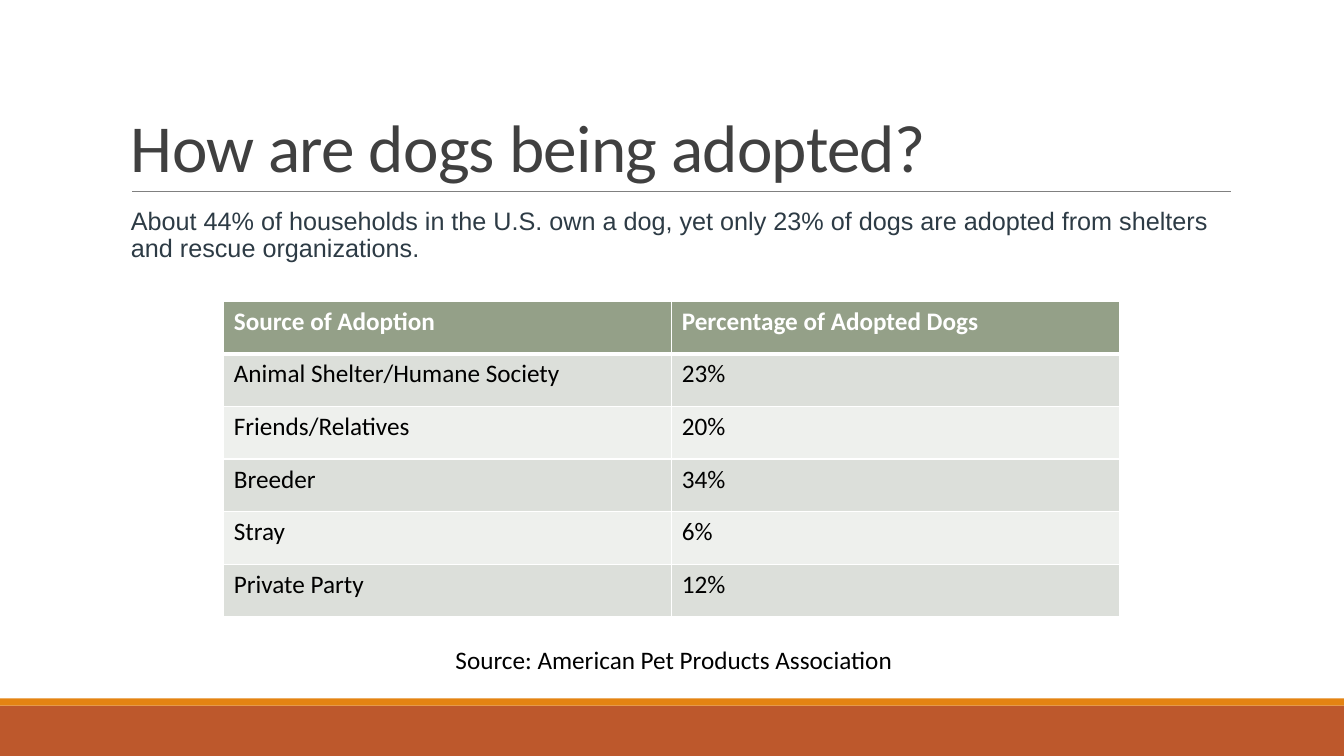
from lxml.etree import SubElement
from pptx import Presentation
from pptx.dml.color import RGBColor
from pptx.enum.shapes import MSO_CONNECTOR, MSO_SHAPE
from pptx.enum.text import MSO_ANCHOR
from pptx.oxml.ns import qn
from pptx.util import Cm, Pt

SLIDE_WIDTH, SLIDE_HEIGHT = 33.87, 19.05
HEADER_FILL = "94A088"
BAND_FILLS = ("DCDFDA", "EEF0ED")
ADOPTION_ROWS = [
    ("Source of Adoption", "Percentage of Adopted Dogs"),
    ("Animal Shelter/Humane Society", "23%"),
    ("Friends/Relatives", "20%"),
    ("Breeder", "34%"),
    ("Stray", "6%"),
    ("Private Party", "12%"),
]


def color(hex_string):
    return RGBColor.from_string(hex_string)


def style_font(paragraph, size, hex_string, name="Calibri", bold=False):
    font = paragraph.font
    font.name, font.size, font.bold = name, Pt(size), bold
    font.color.rgb = color(hex_string)


def add_text(slide, box, text, size, hex_string, name="Calibri"):
    """Add a wrapping text box and return its frame and paragraph."""
    frame = slide.shapes.add_textbox(*map(Cm, box)).text_frame
    frame.word_wrap = True
    paragraph = frame.paragraphs[0]
    paragraph.text = text
    style_font(paragraph, size, hex_string, name)
    return frame, paragraph


def add_footer_bands(slide, left, top, width, height):
    accent_height = 0.18
    bands = [
        (top + accent_height, height - accent_height, "BD582C"),
        (top, accent_height, "E48312"),
    ]
    for band_top, band_height, fill in bands:
        band = slide.shapes.add_shape(
            MSO_SHAPE.RECTANGLE, Cm(left), Cm(band_top), Cm(width), Cm(band_height))
        band.shadow.inherit = False
        band.fill.solid()
        band.fill.fore_color.rgb = color(fill)
        band.line.fill.background()


def add_title(slide, left, top, width, height):
    """Add the title and the thin rule along the foot of its box."""
    frame, paragraph = add_text(
        slide, (left, top, width, height), "How are dogs being adopted?", 48, "404040")
    frame.vertical_anchor = MSO_ANCHOR.BOTTOM
    paragraph.line_spacing = 0.85
    paragraph.runs[0]._r.get_or_add_rPr().set("spc", "-50")

    bottom = Cm(top + height)
    rule = slide.shapes.add_connector(
        MSO_CONNECTOR.STRAIGHT, Cm(left + 0.28), bottom, Cm(left + width + 0.02), bottom)
    rule.line.color.rgb = color("808080")
    rule.line.width = Pt(0.5)
    SubElement(rule._element.spPr, qn("a:effectLst"))


def add_summary(slide, left, top, width, height):
    frame, paragraph = add_text(
        slide, (left, top, width, height),
        "About 44% of households in the U.S. own a dog, yet only 23% of dogs "
        "are adopted from shelters and rescue organizations.",
        18, "2D3B45", "Arial")
    frame.margin_left = Cm(0.25)
    frame.margin_right = 0
    paragraph.line_spacing = 0.9


def set_borders(cell, top_width, bottom_width):
    """Give a cell white borders, with 1 pt sides."""
    properties = cell._tc.get_or_add_tcPr()
    widths = {"a:lnL": 1, "a:lnR": 1, "a:lnT": top_width, "a:lnB": bottom_width}
    for tag, width in widths.items():
        line = SubElement(properties, qn(tag), w=str(Pt(width)))
        SubElement(SubElement(line, qn("a:solidFill")), qn("a:srgbClr"), val="FFFFFF")


def add_adoption_table(slide, left, top, width, height):
    table = slide.shapes.add_table(
        len(ADOPTION_ROWS), len(ADOPTION_ROWS[0]),
        Cm(left), Cm(top), Cm(width), Cm(height)).table
    table.first_row = table.horz_banding = False
    for row_index, values in enumerate(ADOPTION_ROWS):
        header = row_index == 0
        fill = HEADER_FILL if header else BAND_FILLS[(row_index - 1) % 2]
        for column_index, value in enumerate(values):
            cell = table.cell(row_index, column_index)
            set_borders(cell, 3 if row_index == 1 else 1, 3 if header else 1)
            cell.fill.solid()
            cell.fill.fore_color.rgb = color(fill)
            cell.text = value
            style_font(cell.text_frame.paragraphs[0], 18,
                       "FFFFFF" if header else "000000", bold=header)


def add_source_note(slide, left, top, width, height):
    add_text(slide, (left, top, width, height),
             "Source: American Pet Products Association", 18, "000000")


def main():
    presentation = Presentation()
    presentation.slide_width = Cm(SLIDE_WIDTH)
    presentation.slide_height = Cm(SLIDE_HEIGHT)
    slide = presentation.slides.add_slide(presentation.slide_layouts[6])
    add_footer_bands(slide, 0, 17.6, SLIDE_WIDTH, SLIDE_HEIGHT - 17.6)
    add_title(slide, 3.05, 0.79, 27.94, 4.04)
    add_summary(slide, 3.05, 5.13, 27.94, 2)
    add_adoption_table(slide, 5.64, 7.59, 22.58, 7.95)
    add_source_note(slide, 11.23, 16.1, 16.94, 1.02)
    presentation.save("out.pptx")


if __name__ == "__main__":
    main()
